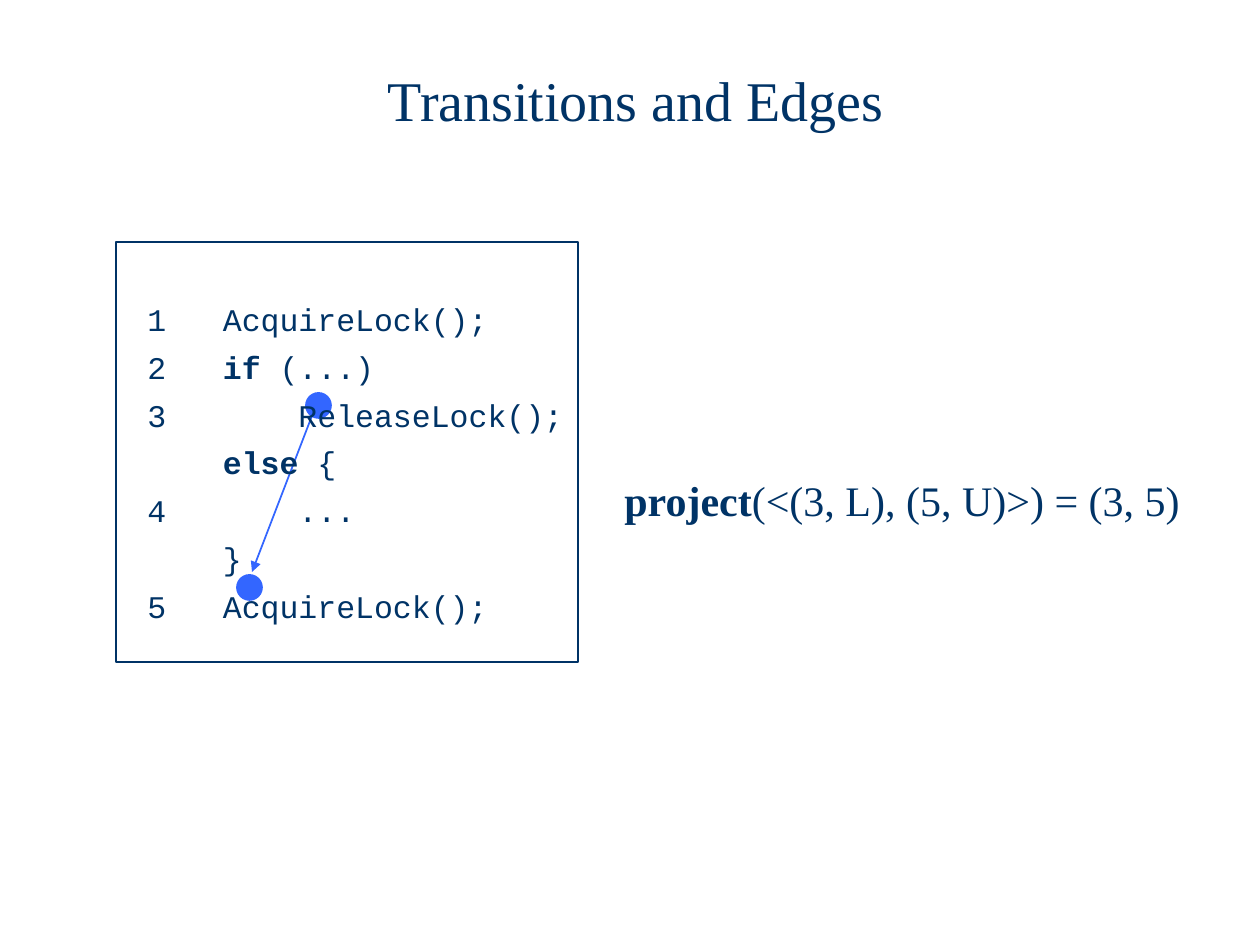
from lxml import etree
from pptx import Presentation, util as u
from pptx.dml.color import RGBColor
from pptx.enum import shapes, text
from pptx.oxml.ns import qn

NAVY = "003366"
BLUE = "3366FF"
EMU_PER_PX = 914400 / 126


def px(length):
    return u.Emu(round(length * EMU_PER_PX))


def color(value):
    return RGBColor.from_string(value)


def write_runs(paragraph, runs, *, font, size, fill, align=text.PP_ALIGN.LEFT, before=0, line=None):
    paragraph.alignment = align
    paragraph.space_before = u.Pt(before)
    if line:
        paragraph.line_spacing = line
    for content, bold in runs:
        run = paragraph.add_run()
        run.text = content
        run.font.name = font
        run.font.size = u.Pt(size)
        run.font.bold = bold
        run.font.color.rgb = color(fill)


class SlideBuilder:
    serif = "Times New Roman"
    mono = "Courier New"

    def __init__(self, presentation):
        self.slide = presentation.slides.add_slide(presentation.slide_layouts[5])

    def frame(self, shape, anchor=text.MSO_ANCHOR.TOP, top=6):
        frame = shape.text_frame
        frame.word_wrap = True
        frame.auto_size = text.MSO_AUTO_SIZE.NONE
        frame.vertical_anchor = anchor
        frame.margin_left = frame.margin_right = u.Inches(0.1)
        frame.margin_top = px(top)
        frame.margin_bottom = u.Inches(0.05)
        return frame

    def title(self, content, left, top, width, height):
        shape = self.slide.shapes.title
        shape.left, shape.top, shape.width, shape.height = map(px, (left, top, width, height))
        frame = self.frame(shape, text.MSO_ANCHOR.MIDDLE)
        write_runs(frame.paragraphs[0], [(content, False)], font=self.serif, size=32,
                   fill=NAVY, align=text.PP_ALIGN.CENTER, line=0.85)

    def formula(self, runs, left, top, width, height):
        shape = self.slide.shapes.add_textbox(*map(px, (left, top, width, height)))
        write_runs(self.frame(shape).paragraphs[0], runs, font=self.serif, size=24, fill=NAVY)

    def shape(self, kind, left, top, width, height, line, weight, fill=None):
        shape = self.slide.shapes.add_shape(kind, *map(px, (left, top, width, height)))
        shape.shadow.inherit = False
        if fill:
            shape.fill.solid()
            shape.fill.fore_color.rgb = color(fill)
        else:
            shape.fill.background()
        shape.line.color.rgb = color(line)
        shape.line.width = u.Pt(weight)
        return shape

    def dot(self, left, top, size=25):
        self.shape(shapes.MSO_SHAPE.OVAL, left, top, size, size, BLUE, 1, BLUE)

    def arrow(self, start, end):
        connector = self.slide.shapes.add_connector(
            shapes.MSO_CONNECTOR.STRAIGHT, *map(px, (*start, *end)))
        connector.line.color.rgb = color(BLUE)
        connector.line.width = u.Pt(1)
        etree.SubElement(connector.line._get_or_add_ln(), qn("a:tailEnd"), type="triangle")
        etree.SubElement(connector._element.spPr, qn("a:effectLst"))

    def code(self, lines, left, top, width, height):
        box = self.shape(shapes.MSO_SHAPE.RECTANGLE, left, top, width, height, NAVY, 0.75)
        frame = self.frame(box, top=58)
        for index, runs in enumerate(lines):
            paragraph = frame.add_paragraph() if index else frame.paragraphs[0]
            write_runs(paragraph, runs, font=self.mono, size=18, fill=NAVY,
                       before=5.7 if index else 0)


def main():
    presentation = Presentation()
    presentation.slide_width = u.Inches(10)
    presentation.slide_height = u.Inches(7.5)

    builder = SlideBuilder(presentation)
    builder.title("Transitions and Edges", 73, 53, 1126, 103)
    builder.formula([("project", True), ("(<(3, L), (5, U)>) = (3, 5)", False)],
                    612, 469, 620, 83)
    builder.dot(306, 393)
    builder.dot(237, 575)
    builder.arrow((315, 408), (252, 572))
    builder.code([
        [(" 1   AcquireLock();", False)],
        [(" 2   ", False), ("if", True), (" (...)", False)],
        [(" 3       ReleaseLock();", False)],
        [("     ", False), ("else", True), (" {", False)],
        [(" 4       ...", False)],
        [("     }", False)],
        [(" 5   AcquireLock();", False)],
    ], 116, 242, 462, 420)

    presentation.save("out.pptx")


if __name__ == "__main__":
    main()
